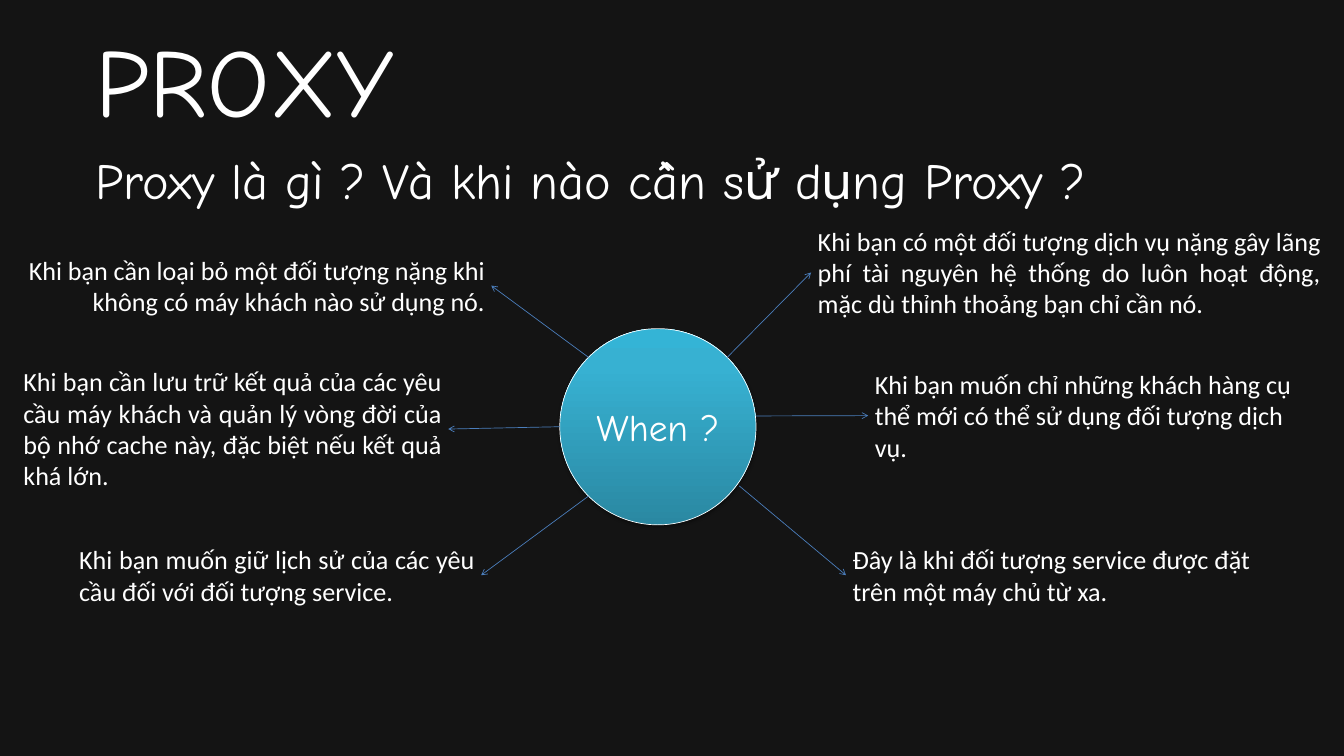
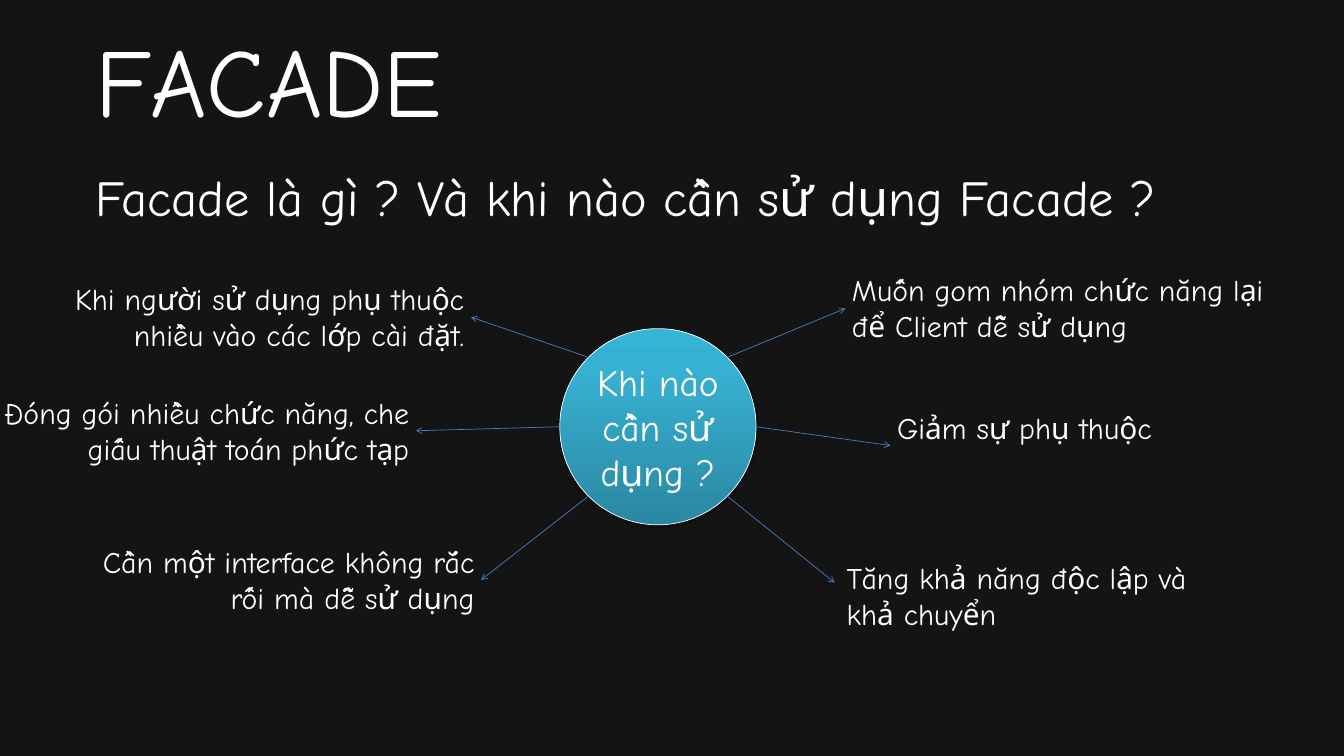
from copy import deepcopy
from dataclasses import dataclass
from math import sqrt

from lxml.etree import SubElement
from pptx import Presentation
from pptx.dml.color import RGBColor
from pptx.enum.shapes import MSO_CONNECTOR, MSO_SHAPE
from pptx.enum.text import MSO_ANCHOR, MSO_AUTO_SIZE, PP_ALIGN
from pptx.oxml.ns import qn
from pptx.util import Inches, Pt

BACKGROUND, WHITE, ARROW, SHADOW = "141414", "FFFFFF", "4B7EBC", "000000"
HUB_GRADIENT = [(0, "2A88A2"), (0.8, "37B1D2"), (1, "34B4D6")]
HEADING_FONT = "Comic Neue"
HUB = (8.33, 4.89, 2.92, 2.92)
LEFT, RIGHT, JUSTIFY = PP_ALIGN.LEFT, PP_ALIGN.RIGHT, PP_ALIGN.JUSTIFY


@dataclass
class Reason:
    """An answer beside the hub; start and end override the arrow's usual points."""
    side: str
    row: int
    box: tuple
    align: PP_ALIGN
    text: str
    start: tuple = None
    end: tuple = None


PROXY_REASONS = [
    Reason("left", -1, (-0.17, 3.73, 7.48, 1.04), RIGHT,
           "Khi bạn cần loại bỏ một đối tượng nặng khi không có máy khách nào sử dụng nó."),
    Reason("left", 0, (0.25, 5.39, 6.42, 1.99), JUSTIFY,
           "Khi bạn cần lưu trữ kết quả của các yêu cầu máy khách và quản lý vòng đời của "
           "bộ nhớ cache này, đặc biệt nếu kết quả khá lớn."),
    Reason("left", 1, (1.08, 8.04, 6.08, 1.04), JUSTIFY,
           "Khi bạn muốn giữ lịch sử của các yêu cầu đối với đối tượng service."),
    Reason("right", -1, (12.07, 3.3, 7.68, 1.51), JUSTIFY,
           "Khi bạn có một đối tượng dịch vụ nặng gây lãng phí tài nguyên hệ thống do luôn "
           "hoạt động, mặc dù thỉnh thoảng bạn chỉ cần nó."),
    Reason("right", 0, (12.92, 5.43, 6.5, 1.51), LEFT,
           "Khi bạn muốn chỉ những khách hàng cụ thể mới có thể sử dụng đối tượng dịch vụ.",
           start=(11.25, 6.19)),
    Reason("right", 1, (12.59, 8.04, 6.33, 1.04), LEFT,
           "Đây là khi đối tượng service được đặt trên một máy chủ từ xa.",
           start=(11, 7.23)),
]

FACADE_REASONS = [
    Reason("left", -1, (0.46, 4.13, 6.55, 1.18), RIGHT,
           "Khi người sử dụng phụ thuộc nhiều vào các lớp cài đặt."),
    Reason("left", 0, (-0.06, 5.82, 6.25, 1.18), RIGHT,
           "Đóng gói nhiều chức năng, che giấu thuật toán phức tạp"),
    Reason("left", 1, (0.82, 8.04, 6.34, 1.18), RIGHT,
           "Cần một interface không rắc rối mà dễ sử dụng"),
    Reason("right", -1, (12.58, 4, 6.49, 1.18), LEFT,
           "Muốn gom nhóm chức năng lại để Client dễ sử dụng"),
    Reason("right", 0, (13.25, 6.04, 4.29, 0.64), LEFT,
           "Giảm sự phụ thuộc", end=(13.25, 6.63)),
    Reason("right", 1, (12.5, 8.28, 6.07, 1.18), LEFT,
           "Tăng khả năng độc lập và khả chuyển", end=(12.42, 8.67)),
]


def color(hex_string):
    return RGBColor.from_string(hex_string)


def inches(values):
    return [Inches(value) for value in values]


def write(frame, text, size, font, align=LEFT):
    frame.word_wrap = True
    paragraph = frame.paragraphs[0]
    paragraph.text = text
    paragraph.alignment = align
    paragraph.font.size = Pt(size)
    paragraph.font.name = font
    paragraph.font.color.rgb = color(WHITE)
    return paragraph


def add_text(slide, box, text, size, font, align=LEFT):
    frame = slide.shapes.add_textbox(*inches(box)).text_frame
    frame.auto_size = MSO_AUTO_SIZE.SHAPE_TO_FIT_TEXT
    write(frame, text, size, font, align)
    return frame


def add_heading(slide, box, text, size):
    frame = add_text(slide, box, text, size, HEADING_FONT)
    frame.margin_left = frame.margin_top = frame.margin_right = frame.margin_bottom = 0
    frame.paragraphs[0].line_spacing = Pt(90)


def add_hub(slide, box, text):
    hub = slide.shapes.add_shape(MSO_SHAPE.OVAL, *inches(box))
    hub.fill.gradient()
    hub.fill.gradient_angle = 90
    stop_list = hub.element.spPr.find(".//" + qn("a:gsLst"))
    stop_list.append(deepcopy(stop_list[0]))
    for stop, (position, shade) in zip(hub.fill.gradient_stops, HUB_GRADIENT):
        stop.position = position
        stop.color.rgb = color(shade)
    hub.line.color.rgb = color(WHITE)
    hub.line.width = Pt(0.75)

    hub.shadow.inherit = False
    effects = hub.element.spPr.find(qn("a:effectLst"))
    shadow = SubElement(effects, qn("a:outerShdw"), blurRad=str(Pt(3.1)),
                        dist=str(Pt(1.8)), dir="5400000", rotWithShape="0")
    shade = SubElement(shadow, qn("a:srgbClr"), val=SHADOW)
    SubElement(shade, qn("a:alpha"), val="35000")

    hub.text_frame.vertical_anchor = MSO_ANCHOR.MIDDLE
    write(hub.text_frame, text, 40, HEADING_FONT, PP_ALIGN.CENTER)


def add_arrow(slide, start, end):
    arrow = slide.shapes.add_connector(MSO_CONNECTOR.STRAIGHT, *inches(start + end))
    arrow.line.color.rgb = color(ARROW)
    arrow.line.width = Pt(0.75)
    SubElement(arrow.line._get_or_add_ln(), qn("a:tailEnd"), type="arrow")
    SubElement(arrow.element.spPr, qn("a:effectLst"))


def hub_point(hub, side, row):
    """Point on the hub's rim: level with its centre for row 0, else on a diagonal."""
    left, top, width, height = hub
    direction = 1 if side == "right" else -1
    reach = 1 / sqrt(2) if row else 1
    return (left + width / 2 * (1 + direction * reach),
            top + height / 2 * (1 + row * reach))


def add_reason(slide, hub, reason, size, font):
    left, top, width, height = reason.box
    inner_edge = left if reason.side == "right" else left + width
    start = reason.start or hub_point(hub, reason.side, reason.row)
    end = reason.end or (inner_edge, top + height / 2)
    add_arrow(slide, start, end)
    add_text(slide, reason.box, reason.text, size, font, reason.align)


def add_pattern_slide(deck, title, question, question_top, hub_text, reasons, size, font):
    slide = deck.slides.add_slide(deck.slide_layouts[6])
    slide.background.fill.solid()
    slide.background.fill.fore_color.rgb = color(BACKGROUND)
    add_heading(slide, (1.42, 0.79, 16.99, 1.26), title, 104)
    add_heading(slide, (1.42, question_top, 16.99, 1.26), question, 54)
    add_hub(slide, HUB, hub_text)
    for reason in reasons:
        add_reason(slide, HUB, reason, size, font)


def main():
    deck = Presentation()
    deck.slide_width, deck.slide_height = inches((20, 11.25))
    add_pattern_slide(deck, "PROXY", "Proxy là gì ? Và khi nào cần sử dụng Proxy ?", 1.87,
                      "When ?", PROXY_REASONS, 28, "Calibri")
    add_pattern_slide(deck, "FACADE", "Facade là gì ? Và khi nào cần sử dụng Facade ?", 2.12,
                      "Khi nào cần sử dụng ?", FACADE_REASONS, 32, HEADING_FONT)
    deck.save("out.pptx")


if __name__ == "__main__":
    main()
